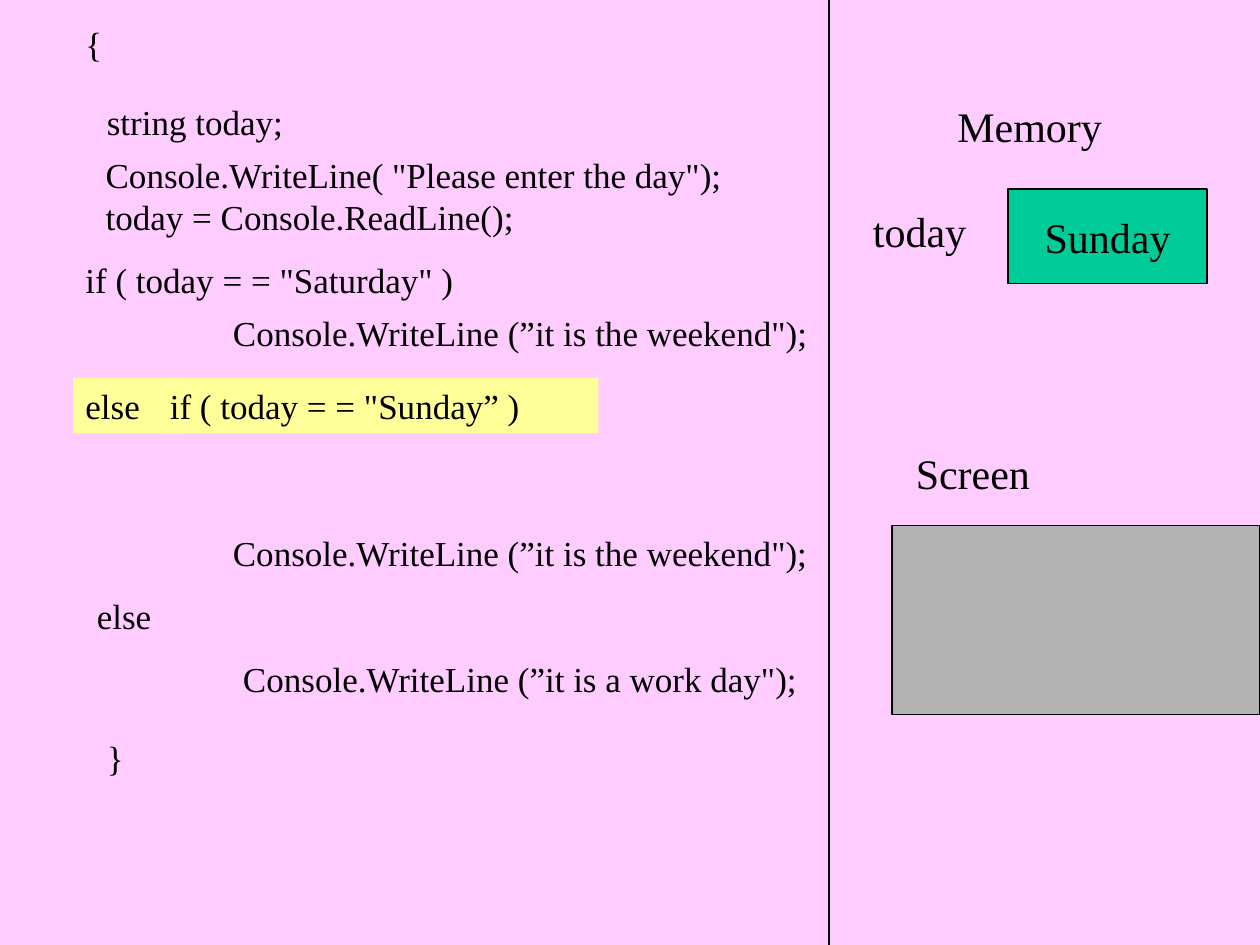
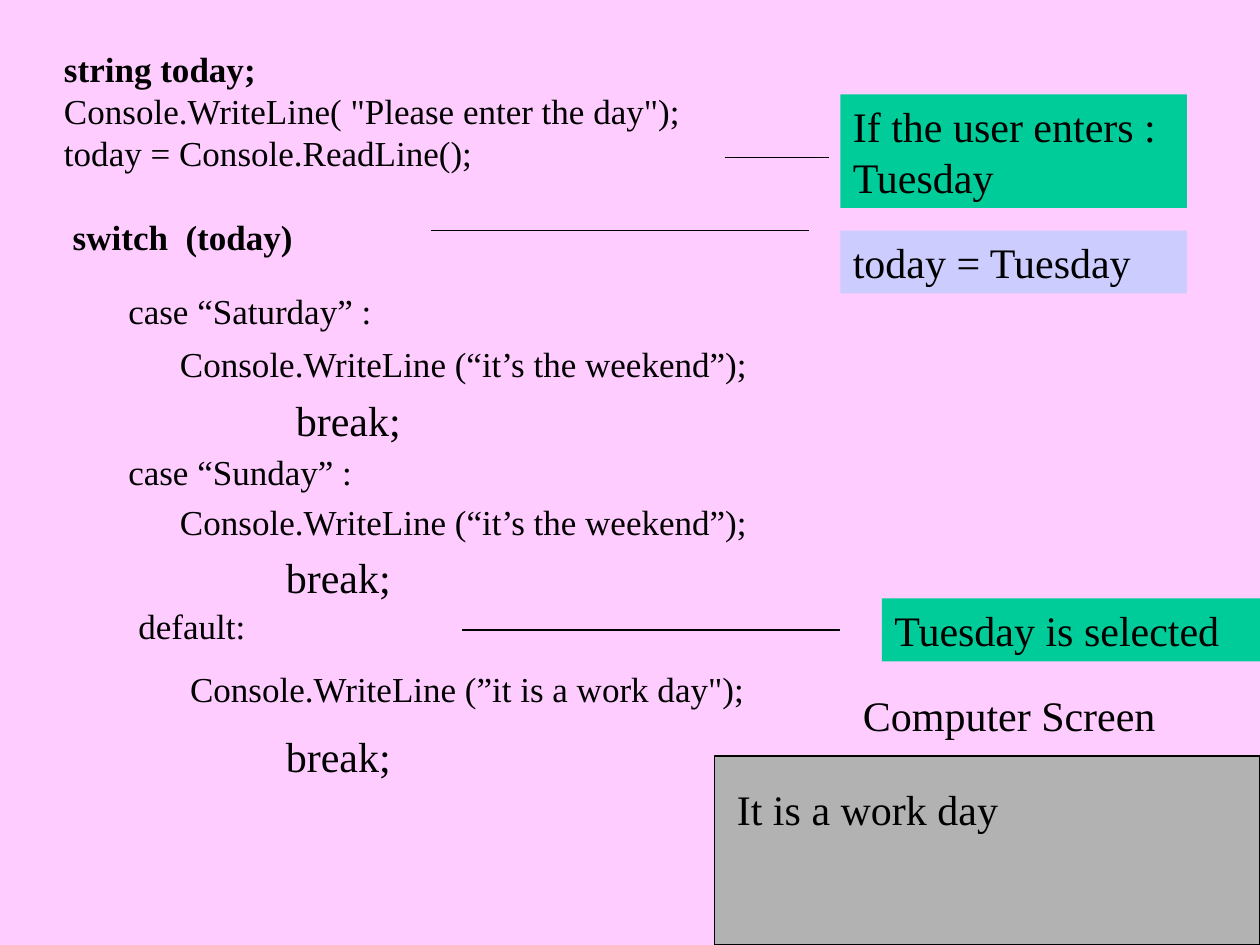
from dataclasses import dataclass

from lxml import etree
from pptx import Presentation
from pptx.dml.color import RGBColor
from pptx.enum import shapes, text
from pptx.oxml import ns
from pptx.util import Inches, Pt


@dataclass(frozen=True)
class Theme:
    font: str = "Times New Roman"
    code_size: int = 20
    note_size: int = 24
    rule_width: float = 0.75
    ink: str = "000000"
    background: str = "FFCCFF"
    green: str = "00CC99"
    lilac: str = "CCCCFF"
    yellow: str = "FFFF99"
    grey: str = "B2B2B2"


THEME = Theme()
CODE_HEIGHT = 0.44   # one line of code
NOTE_HEIGHT = 0.5    # one line of a label or note

# Content: code as (lines, left, top, width); each slide lists its parts
READ_DAY = ['Console.WriteLine( "Please enter the day");',
            "today = Console.ReadLine();"]
IF_WEEKEND = 'Console.WriteLine (”it is the weekend");'
CASE_WEEKEND = "Console.WriteLine (“it’s the weekend”);"
WORK_DAY = 'Console.WriteLine (”it is a work day");'

IF_ELSE = {
    "code": [
        (["{"], 0.58, 0.13, 4.25),
        (["string today;"], 0.75, 0.75, 2.83),
        (READ_DAY, 0.74, 1.17, 5.17),
        (['if ( today = = "Saturday" )'], 0.58, 2, 3.67),
        ([IF_WEEKEND], 1.75, 2.42, 5.58),
        ([IF_WEEKEND], 1.75, 4.17, 5.17),
        (["else"], 0.67, 4.67, 1.17),
        ([WORK_DAY], 1.83, 5.17, 5.08),
        (["}"], 0.75, 5.8, 1.33),
    ],
    "current_code": [
        (["else"], 0.58, 3, 0.92),
        (['if ( today = = "Sunday” )'], 1.25, 3, 3.5),
    ],
    "labels": [
        ("Memory", 7.5, 0.75, 1.83),
        ("today", 6.83, 1.58, 1.17),
        ("Screen", 7.17, 3.5, 2),
    ],
    "memory_cell": ("Sunday", 8, 1.5, 1.58, 0.75),
    "screen": (7.08, 4.17, 2.92, 1.5),
    "rules": [(6.58, 0, 6.58, 7.5)],
}

SWITCH = {
    "code": [
        (["string today;"] + READ_DAY + [" switch  (today)"], 0.41, 0.33, 5.17),
        (["case “Saturday” :"], 0.92, 2.25, 2.33),
        ([CASE_WEEKEND], 1.33, 2.67, 5.5),
        (["case “Sunday” :"], 0.92, 3.53, 2),
        ([CASE_WEEKEND], 1.33, 3.92, 4.75),
        (["default:"], 1, 4.75, 1.1),
        ([WORK_DAY], 1.41, 5.25, 4.65),
    ],
    "bold": {"string today;", " switch  (today)"},
    "space_before": {" switch  (today)": 24},
    "labels": [
        ("break;", 2.25, 3.08, 2.17),
        ("break;", 2.17, 4.33, 2.17),
        ("break;", 2.17, 5.75, 1.42),
        ("Computer Screen", 6.75, 5.42, 2.92),
        ("It is a work day", 5.75, 6.17, 3.92),
    ],
    "notes": [
        ("If the user enters : Tuesday", 6.67, 0.75, 2.75, 0.9, THEME.green),
        ("today = Tuesday", 6.67, 1.83, 2.75, NOTE_HEIGHT, THEME.lilac),
        ("Tuesday is selected", 7, 4.75, 3, NOTE_HEIGHT, THEME.green),
    ],
    "screen": (5.67, 6, 4.33, 1.5),
    "rules": [
        (5.75, 1.25, 6.58, 1.25),
        (3.42, 1.83, 6.42, 1.83),
        (3.67, 5, 6.67, 5),
    ],
}


# Drawing helpers
def rgb(value):
    return RGBColor.from_string(value)


def add_panel(slide, box, fill, outlined=False):
    panel = slide.shapes.add_shape(shapes.MSO_SHAPE.RECTANGLE, *map(Inches, box))
    panel.shadow.inherit = False
    panel.fill.solid()
    panel.fill.fore_color.rgb = rgb(fill)
    if outlined:
        panel.line.color.rgb = rgb(THEME.ink)
        panel.line.width = Pt(THEME.rule_width)
    else:
        panel.line.fill.background()
    return panel


def write(holder, lines, size, bold=(), space_before=None, centred=False):
    frame = holder.text_frame
    frame.word_wrap = True
    frame.vertical_anchor = text.MSO_ANCHOR.MIDDLE if centred else text.MSO_ANCHOR.TOP
    for index, line in enumerate(lines):
        paragraph = frame.add_paragraph() if index else frame.paragraphs[0]
        paragraph.alignment = text.PP_ALIGN.CENTER if centred else text.PP_ALIGN.LEFT
        if space_before and line in space_before:
            paragraph.space_before = Pt(space_before[line])
        run = paragraph.add_run()
        run.text = line
        run.font.name = THEME.font
        run.font.size = Pt(size)
        run.font.bold = line in bold
        run.font.color.rgb = rgb(THEME.ink)


def add_rule(slide, ends):
    rule = slide.shapes.add_connector(shapes.MSO_CONNECTOR.STRAIGHT, *map(Inches, ends))
    rule.line.color.rgb = rgb(THEME.ink)
    rule.line.width = Pt(THEME.rule_width)
    etree.SubElement(rule.element.spPr, ns.qn("a:effectLst"))


def add_program_slide(deck, content):
    slide = deck.slides.add_slide(deck.slide_layouts[6])

    # Rules, screen and memory
    for ends in content["rules"]:
        add_rule(slide, ends)
    add_panel(slide, content["screen"], THEME.grey, outlined=True)
    if "memory_cell" in content:
        value, *box = content["memory_cell"]
        cell = add_panel(slide, box, THEME.green, outlined=True)
        write(cell, [value], THEME.note_size, centred=True)

    # Program code, with the statement being run highlighted
    for lines, left, top, width in content["code"]:
        box = left, top, width, 0.1 + len(lines) * (CODE_HEIGHT - 0.1)
        write(slide.shapes.add_textbox(*map(Inches, box)), lines, THEME.code_size,
              content.get("bold", ()), content.get("space_before"))
    for lines, *place in content.get("current_code", []):
        write(add_panel(slide, (*place, CODE_HEIGHT), THEME.yellow), lines,
              THEME.code_size)

    # Labels and coloured notes
    for label, *place in content["labels"]:
        box = map(Inches, (*place, NOTE_HEIGHT))
        write(slide.shapes.add_textbox(*box), [label], THEME.note_size)
    for note, *box, fill in content.get("notes", []):
        write(add_panel(slide, box, fill), [note], THEME.note_size)


def main():
    deck = Presentation()
    deck.slide_width, deck.slide_height = Inches(10), Inches(7.5)
    background = deck.slide_master.background.fill
    background.solid()
    background.fore_color.rgb = rgb(THEME.background)
    for content in (IF_ELSE, SWITCH):
        add_program_slide(deck, content)
    deck.save("out.pptx")


if __name__ == "__main__":
    main()
